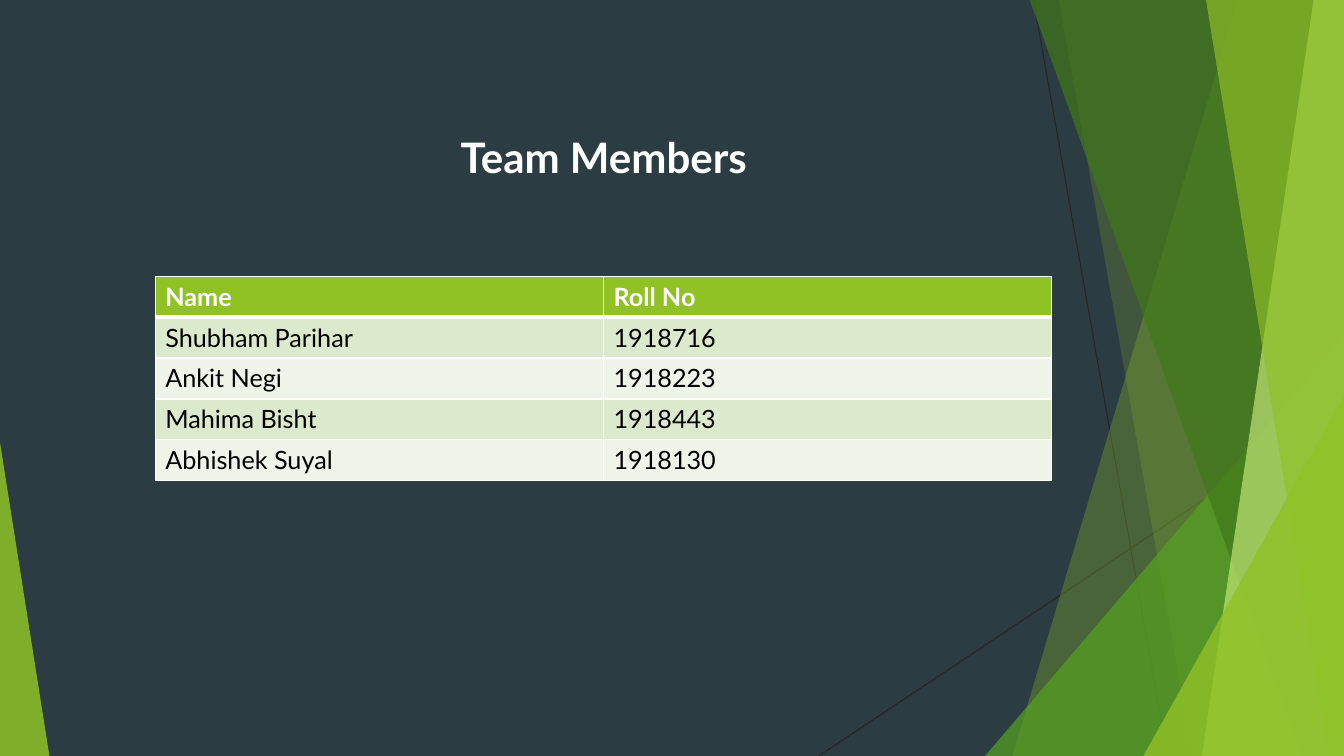
import pptx
import pptx.dml.color
import pptx.enum.dml
import pptx.enum.shapes
import pptx.enum.text
import pptx.oxml
import pptx.oxml.ns
import pptx.util

Inches = pptx.util.Inches
Pt = pptx.util.Pt
SHAPES = pptx.enum.shapes.MSO_SHAPE

WIDTH, HEIGHT = 13.33, 7.5
FONT = "Lato"
COLORS = {
    "background": "2C3C43", "white": "FFFFFF", "black": "000000",
    "hairline": "262626", "lime": "90C226", "green": "54A021",
    "forest": "3F7819", "pale": "C0E474",
    "band_dark": "DBE9CD", "band_light": "EEF4E8",
}
MEMBERS = [
    ("Name", "Roll No"),
    ("Shubham Parihar", "1918716"),
    ("Ankit Negi", "1918223"),
    ("Mahima Bisht", "1918443"),
    ("Abhishek Suyal", "1918130"),
]


def rgb(name):
    return pptx.dml.color.RGBColor.from_string(COLORS[name])


def format_text(para, **values):
    for span in para.runs:
        span.font.color.rgb = rgb(values["color"])
        settings = {"name": FONT, "size": Pt(values["size"]), "bold": values["bold"]}
        for key, value in settings.items():
            setattr(span.font, key, value)


def paint(shape, color, opacity):
    """Fill a decorative shape with a translucent colour and no outline."""
    shape.shadow.inherit = False
    shape.line.fill.background()
    shape.fill.solid()
    shape.fill.fore_color.rgb = rgb(color)
    tint = shape.fill._xPr.find(".//" + pptx.oxml.ns.qn("a:srgbClr"))
    tint.append(pptx.oxml.parse_xml(
        f'<a:alpha {pptx.oxml.ns.nsdecls("a")} val="{opacity * 1000}"/>'))


def add_hairline(page, start, end):
    line = page.shapes.add_connector(
        pptx.enum.shapes.MSO_CONNECTOR.STRAIGHT, *map(Inches, start + end))
    line.line.color.rgb = rgb("hairline")
    line.line.width = Pt(0.75)
    line._element.spPr.append(pptx.oxml.parse_xml(
        f'<a:effectLst {pptx.oxml.ns.nsdecls("a")}/>'))


def add_blade(page, top_x, bottom_x, color, opacity):
    """A full-height facet between a slanted left edge and the slide's right edge."""
    corners = [(top_x, -0.01), (WIDTH, -0.01), (WIDTH, HEIGHT), (bottom_x, HEIGHT)]
    points = [(Inches(x), Inches(y)) for x, y in corners]
    builder = page.shapes.build_freeform(*points[0])
    builder.add_line_segments(points[1:], close=True)
    paint(builder.convert_to_shape(), color, opacity)


def add_corner(page, left, top, width, apex, color, opacity):
    """A right triangle standing on the slide's bottom edge."""
    corner = page.shapes.add_shape(
        SHAPES.ISOSCELES_TRIANGLE,
        *map(Inches, (left, top, width, HEIGHT - top)))
    corner.adjustments[0] = apex
    paint(corner, color, opacity)


def add_facets(page):
    # Thin crossing lines
    add_hairline(page, (10.25, 0), (11.58, HEIGHT))
    add_hairline(page, (WIDTH, 4.03), (8.12, HEIGHT))
    # Overlapping facets, back to front
    add_blade(page, 12.28, 10.04, "lime", 30)
    add_blade(page, 10.5, 11.83, "lime", 20)
    add_corner(page, 9.77, 3.33, 3.56, 1, "green", 72)
    add_blade(page, 10.21, 12.91, "forest", 70)
    add_blade(page, 13.03, 11.92, "pale", 70)
    add_blade(page, 11.96, 13.18, "lime", 65)
    add_corner(page, 11.34, 3.93, 1.99, 1, "lime", 80)
    # Left edge
    add_corner(page, 0, 4.39, 0.49, 0, "lime", 85)


def add_title(page, left, top, width, height):
    title = page.shapes.title
    box = dict(left=left, top=top, width=width, height=height)
    for key, value in box.items():
        setattr(title, key, Inches(value))
    frame = title.text_frame
    frame.text = "Team Members"
    frame.word_wrap = True
    frame.auto_size = pptx.enum.text.MSO_AUTO_SIZE.SHAPE_TO_FIT_TEXT
    para = frame.paragraphs[0]
    para.alignment = pptx.enum.text.PP_ALIGN.CENTER
    format_text(para, size=30, color="white", bold=True)


def border_cell(cell, top, bottom):
    properties = cell._tc.get_or_add_tcPr()
    for side, points in {"L": 1, "R": 1, "T": top, "B": bottom}.items():
        properties.append(pptx.oxml.parse_xml(
            f'<a:ln{side} {pptx.oxml.ns.nsdecls("a")} w="{Pt(points)}">'
            f'<a:solidFill><a:srgbClr val="{COLORS["white"]}"/></a:solidFill>'
            f'</a:ln{side}>'))


def add_members(page, left, top, width, height):
    table = page.shapes.add_table(
        len(MEMBERS), len(MEMBERS[0]),
        *map(Inches, (left, top, width, height))).table
    for row, values in enumerate(MEMBERS):
        header = row == 0
        fill = "lime" if header else ("band_dark" if row % 2 else "band_light")
        for column, value in enumerate(values):
            cell = table.cell(row, column)
            cell.text = value
            format_text(cell.text_frame.paragraphs[0], size=18, bold=header,
                        color="white" if header else "black")
            border_cell(cell, top=3 if row == 1 else 1, bottom=3 if header else 1)
            cell.fill.solid()
            cell.fill.fore_color.rgb = rgb(fill)


def main():
    deck = pptx.Presentation()
    deck.slide_width, deck.slide_height = Inches(WIDTH), Inches(HEIGHT)
    page = deck.slides.add_slide(deck.slide_layouts.get_by_name("Title Only"))
    page.background.fill.solid()
    page.background.fill.fore_color.rgb = rgb("background")
    add_facets(page)
    add_members(page, 1.54, 2.74, 8.89, 2.03)
    add_title(page, 4.31, 1.25, 3.36, 0.61)
    deck.save("out.pptx")


if __name__ == "__main__":
    main()
